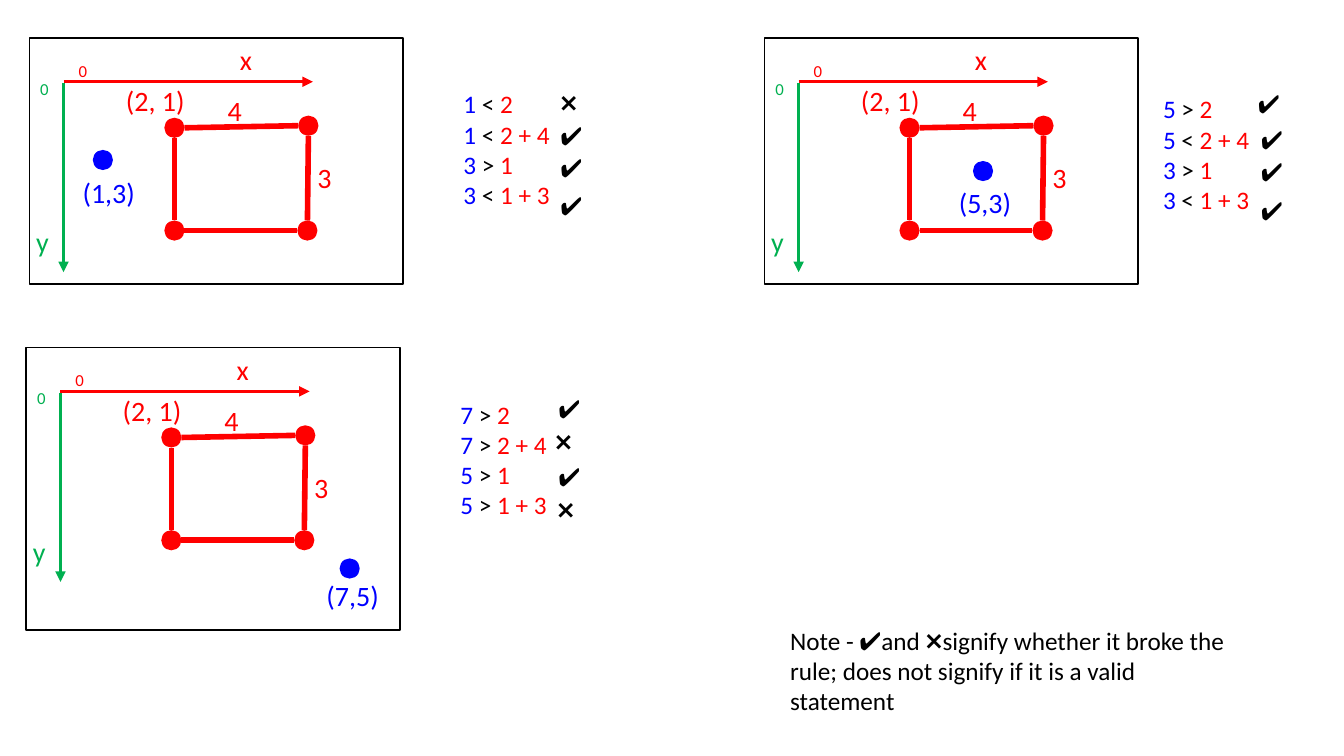
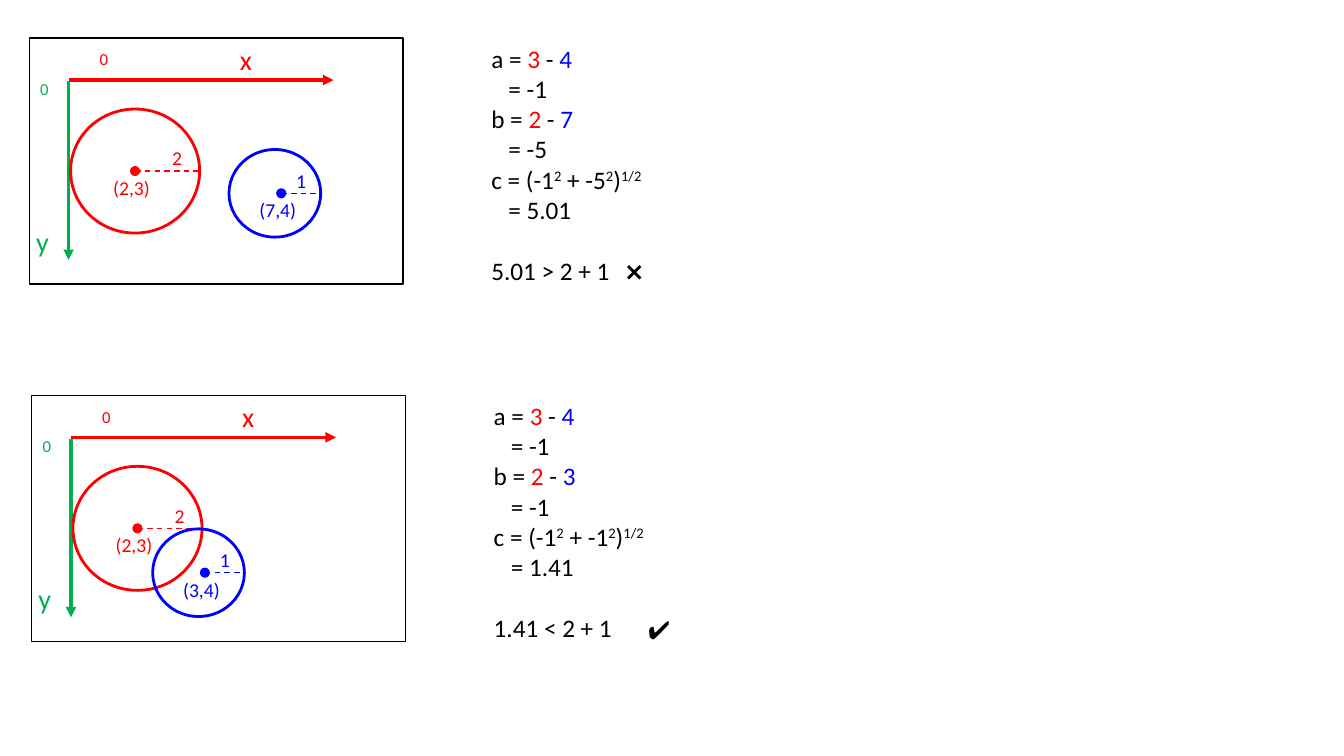
import lxml.etree
import pptx
import pptx.dml.color
import pptx.enum.dml
import pptx.enum.shapes
import pptx.enum.text
import pptx.oxml.ns
import pptx.util

Pt = pptx.util.Pt
SHAPE = pptx.enum.shapes.MSO_SHAPE
qn = pptx.oxml.ns.qn

FONT = "Calibri"
COLORS = {"red": "FF0000", "blue": "0000FF", "green": "00B050", "black": "000000"}
CHECK, CROSS = "✔️", "❌"
LINE_HEIGHT = 1.22
PANEL_W, PANEL_H = 267, 175.7


def rgb(name):
    return pptx.dml.color.RGBColor.from_string(COLORS[name])


class Sketch:
    """Current slide, drawing style and the corner that positions count from."""

    def __init__(self, prs):
        self.prs = prs
        self.new_slide()

    def new_slide(self):
        self.s = self.prs.slides.add_slide(self.prs.slide_layouts[6])
        self.move_to(0, 0)

    def move_to(self, x, y):
        self.x, self.y = x, y

    # Shapes and lines
    def shape(self, kind, x, y, w, h, fill=None, line=None, weight=1):
        sp = self.s.shapes.add_shape(kind, Pt(self.x + x), Pt(self.y + y), Pt(w), Pt(h))
        sp.shadow.inherit = False
        if fill:
            sp.fill.solid()
            sp.fill.fore_color.rgb = rgb(fill)
        else:
            sp.fill.background()
        if line:
            sp.line.color.rgb = rgb(line)
            sp.line.width = Pt(weight)
        else:
            sp.line.fill.background()

    def ellipse(self, cx, cy, w, h, **style):
        self.shape(SHAPE.OVAL, cx - w / 2, cy - h / 2, w, h, **style)

    def dot(self, cx, cy, size, color):
        self.ellipse(cx, cy, size, size, fill=color)

    def line(self, x1, y1, x2, y2, color, weight, arrow=False, dash=False):
        c = self.s.shapes.add_connector(
            pptx.enum.shapes.MSO_CONNECTOR.STRAIGHT,
            Pt(self.x + x1), Pt(self.y + y1), Pt(self.x + x2), Pt(self.y + y2))
        c.line.color.rgb = rgb(color)
        c.line.width = Pt(weight)
        if dash:
            c.line.dash_style = pptx.enum.dml.MSO_LINE.DASH
        spPr = c._element.spPr
        if arrow:
            lxml.etree.SubElement(spPr.get_or_add_ln(), qn("a:tailEnd"), type="triangle")
        lxml.etree.SubElement(spPr, qn("a:effectLst"))

    # Text
    def box(self, x, y, w, h, wrap=False):
        sp = self.s.shapes.add_textbox(Pt(self.x + x), Pt(self.y + y), Pt(w), Pt(h))
        tf = sp.text_frame
        tf.word_wrap = wrap
        tf.auto_size = pptx.enum.text.MSO_AUTO_SIZE.SHAPE_TO_FIT_TEXT
        return tf

    def style(self, r, size, color):
        r.font.name = FONT
        r.font.size = Pt(size)
        r.font.color.rgb = rgb(color)

    def text(self, x, y, w, text, size=18, color="black", wrap=False, lines=1):
        tf = self.box(x, y, w, size * LINE_HEIGHT * lines + 7.2, wrap)
        tf.text = text
        self.style(tf.paragraphs[0].runs[0], size, color)

    def mark(self, x, y, mark):
        self.text(x, y, 48, mark, wrap=True)

    def rich(self, x, y, w, h, rows, size=18):
        """Each row is a list of (text, color); the color "super" raises black text."""
        tf = self.box(x, y, w, h)
        for i, row in enumerate(rows):
            p = tf.add_paragraph() if i else tf.paragraphs[0]
            for text, color in row:
                r = p.add_run()
                r.text = text
                self.style(r, size, "black" if color == "super" else color)
                if color == "super":
                    r._r.get_or_add_rPr().set("baseline", "30000")
        return tf

    # Diagram parts
    def panel(self, x, y, height, axis_x, axis_y, length_x, length_y, zero):
        self.move_to(x, y)
        self.shape(SHAPE.RECTANGLE, 0, 0, PANEL_W, height, line="black")
        self.line(axis_x, axis_y, axis_x + length_x, axis_y, "red", 2.5, arrow=True)
        self.line(axis_x, axis_y + 1, axis_x, axis_y + length_y, "green", 2.5, arrow=True)
        self.text(143.3, -0.5, 23, "x", 20, "red")
        self.text(-2.2, 129.6, 23.8, "y", 20, "green")
        self.text(*zero, 20.9, "0", 12, "red")
        self.text(0.7, 25.2, 20.9, "0", 12, "green")

    def rectangle(self):
        size, gap = 14.4, 7.2
        tl, tr, bl, br = corners = [(103.7, 64.1), (199.4, 62.6), (103.7, 137.5), (198.7, 137.5)]
        for left, right in ((tl, tr), (bl, br)):
            self.line(left[0] + gap, left[1], right[0] - gap, right[1], "red", 4)
        for top, bottom in ((tl, bl), (tr, br)):
            self.line(top[0], top[1] + gap, bottom[0], bottom[1] - gap, "red", 4)
        for corner in corners:
            self.dot(*corner, size, "red")
        self.text(61.9, 28.8, 56.9, "(2, 1)", 20, "red")
        self.text(134.6, 36, 24.5, "4", 20, "red")
        self.text(198.7, 84.2, 24.5, "3", 20, "red")

    def point(self, center, label_at, label):
        self.dot(*center, 14.4, "blue")
        self.text(*label_at, 52.6, label, 20, "blue")

    def circle(self, cx, cy, w, h, shift, color, label, radius, radius_dx):
        self.ellipse(cx + shift, cy, w, h, line=color, weight=2)
        self.dot(cx, cy, 7.2, color)
        self.line(cx, cy, cx + shift + w / 2, cy, color, 1, dash=True)
        self.text(cx - 22.7, cy, 44.6, label, 14, color, wrap=True)
        self.text(cx + radius_dx, cy - 21.3, 21.6, radius, 14, color)

    # Calculations beside the diagrams
    def rules(self, x, y, rules):
        rows = []
        for rule in rules:
            value, sign, bound = rule.split(" ", 2)
            rows.append([(value, "blue"), (f" {sign} ", "black"), (bound, "red")])
        self.rich(x, y, 77, 116.6, rows)

    def distance(self, x, y, blue_x, a, b, c, verdict):
        tf = self.rich(x, y, 127.4, 181.4, [
            [("a = ", "black"), ("3", "red"), (" - ", "black"), ("4", "blue")],
            [(f"= {a}", "black")],
            [("b = ", "black"), ("2", "red"), (" - ", "black"), (blue_x, "blue")],
            [(f"= {b}", "black")],
            [(f"c = ({a}", "black"), ("2", "super"), (f" + {b}", "black"),
             ("2", "super"), (")", "black"), ("1/2", "super")],
            [(f"= {c}", "black")],
            [(verdict, "black")]])
        for p in tf.paragraphs[1:6:2]:
            p._p.get_or_add_pPr().set("marL", str(Pt(12.2)))
        tf.paragraphs[6].space_before = Pt(22)


def point_slide(sk):
    # Panel corner and height, point, its label, rules, marks
    cases = [
        ((20.9, 27.2), PANEL_H, (52.6, 87.1), (31, 94.3), "(1,3)", (324, 59.8),
         ["1 < 2", "1 < 2 + 4", "3 > 1", "3 < 1 + 3"],
         [(393.1, 59, CROSS), (393.1, 82.1, CHECK), (393.1, 105.1, CHECK), (393.1, 132.5, CHECK)]),
        ((546, 27.2), PANEL_H, (156.2, 95), (131.8, 101.5), "(5,3)", (823.7, 63.4),
         ["5 > 2", "5 < 2 + 4", "3 > 1", "3 < 1 + 3"],
         [(891.4, 59.8, CHECK), (893.5, 85, CHECK), (893.5, 108, CHECK), (893.5, 136.1, CHECK)]),
        ((18.7, 248.4), 201.6, (231.1, 157.7), (207.4, 161.3), "(7,5)", (321.8, 281.5),
         ["7 > 2", "7 > 2 + 4", "5 > 1", "5 > 1 + 3"],
         [(391.7, 277.2, CHECK), (389.5, 301, CROSS), (391.7, 326.2, CHECK), (391, 349.2, CROSS)]),
    ]
    for corner, height, center, label_at, label, rules_at, rules, marks in cases:
        sk.panel(*corner, height, 24.5, 31.2, 178, 136, zero=(28.1, 12.5))
        sk.rectangle()
        sk.point(center, label_at, label)
        sk.move_to(0, 0)
        sk.rules(*rules_at, rules)
        for mark in marks:
            sk.mark(*mark)
    sk.text(557.3, 442.8, 324.7,
            f"Note - {CHECK}and {CROSS}signify whether it broke the rule; "
            "does not signify if it is a valid statement", wrap=True, lines=3)


def circle_slide(sk):
    # Panel corner, blue center, its label, calculation, mark
    cases = [
        ((20.9, 27.2), (180, 110.9), "(7,4)", ("7", "-1", "-5", "5.01", "5.01 > 2 + 1"), (419, CROSS)),
        ((22.6, 282.4), (123.8, 126.7), "(3,4)", ("3", "-1", "-1", "1.41", "1.41 < 2 + 1"), (433.2, CHECK)),
    ]
    for corner, center, label, sums, (mark_x, mark) in cases:
        sk.panel(*corner, PANEL_H, 28.1, 30, 189.3, 128.6, zero=(43.2, 4.3))
        sk.circle(75.6, 95, 92.2, 88.6, 0, "red", "(2,3)", "2", 19.4)
        sk.circle(*center, 65.5, 62.6, -4.6, "blue", label, "1", 3.6)
        sk.distance(323, 0, *sums)
        sk.mark(mark_x, 152.6, mark)


def main():
    prs = pptx.Presentation()
    prs.slide_width, prs.slide_height = Pt(960), Pt(540)
    sk = Sketch(prs)
    point_slide(sk)
    sk.new_slide()
    circle_slide(sk)
    prs.save("out.pptx")


if __name__ == "__main__":
    main()
